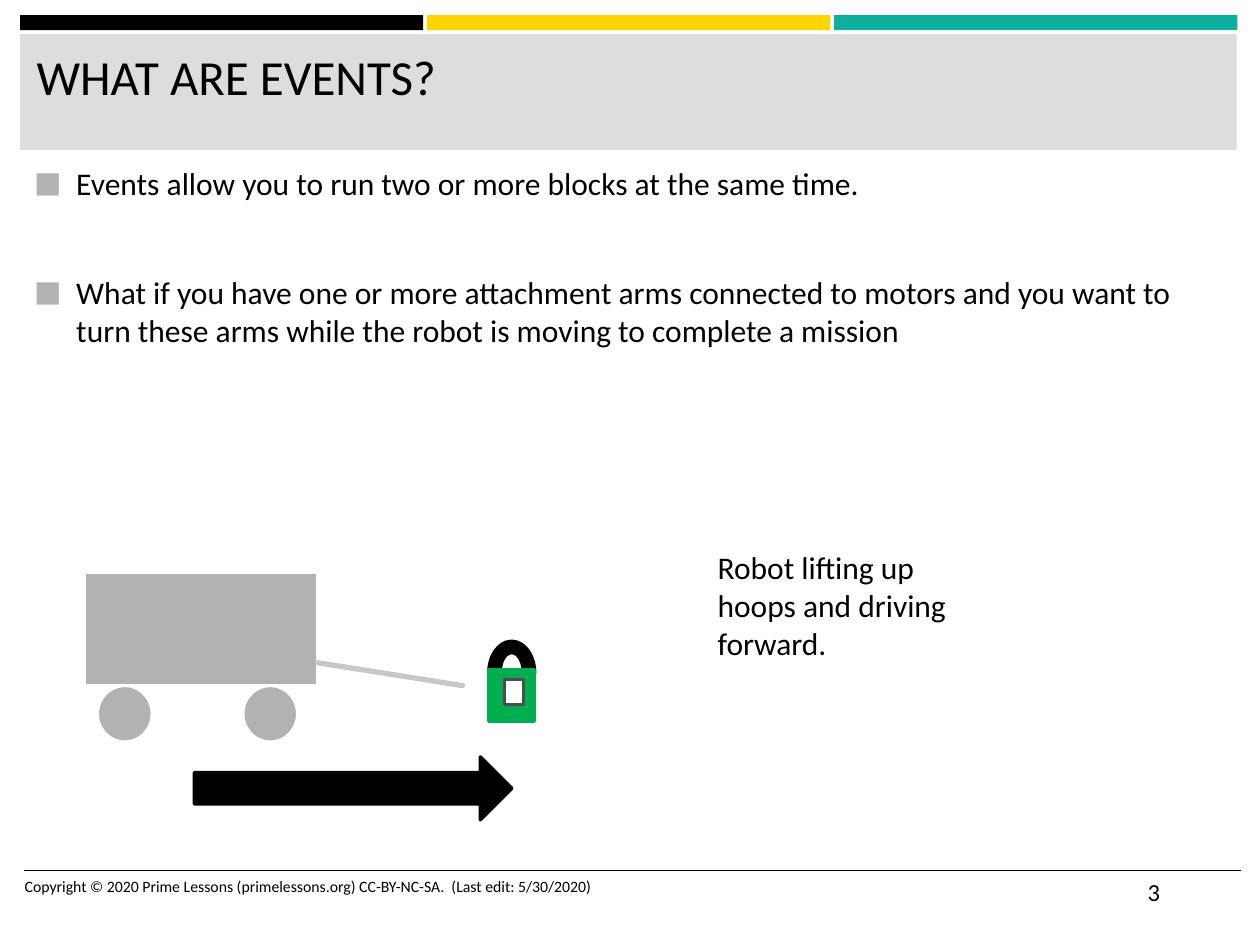
from dataclasses import dataclass

from lxml.etree import SubElement
from pptx import Presentation
from pptx.dml.color import RGBColor
from pptx.enum.shapes import MSO_CONNECTOR, MSO_SHAPE
from pptx.enum.text import MSO_ANCHOR, PP_ALIGN
from pptx.oxml.ns import qn
from pptx.util import Pt

FONT = "Calibri"
BLACK, WHITE, GRAY, GREEN = "000000", "FFFFFF", "B2B2B2", "00B050"


@dataclass
class Box:
    left: float
    top: float
    width: float
    height: float

    def place(self) -> tuple:
        return Pt(self.left), Pt(self.top), Pt(self.width), Pt(self.height)


@dataclass
class Part:
    kind: MSO_SHAPE
    box: Box
    fill: str
    line: str = ""


def color(value: str) -> RGBColor:
    return RGBColor.from_string(value)


def draw(shapes, part: Part) -> None:
    shape = shapes.add_shape(part.kind, *part.box.place())
    shape.shadow.inherit = False
    shape.fill.solid()
    shape.fill.fore_color.rgb = color(part.fill)
    if part.line:
        shape.line.color.rgb = color(part.line)
        shape.line.width = Pt(1.75)
    else:
        shape.line.fill.background()


def group(shapes, parts: list[Part]) -> None:
    inner = shapes.add_group_shape().shapes
    for part in parts:
        draw(inner, part)


def rule(shapes, start: tuple, end: tuple, tint: str, width: float, cap: str = "flat") -> None:
    line = shapes.add_connector(MSO_CONNECTOR.STRAIGHT, *map(Pt, start + end))
    line.line.color.rgb = color(tint)
    line.line.width = Pt(width)
    line.line._get_or_add_ln().set("cap", cap)
    SubElement(line.element.spPr, qn("a:effectLst"))


def style(para, size: float) -> None:
    para.alignment = PP_ALIGN.LEFT
    para.font.name = FONT
    para.font.size = Pt(size)
    para.font.color.rgb = color(BLACK)


def write(shapes, box: Box, text: str, size: float) -> None:
    frame = shapes.add_textbox(*box.place()).text_frame
    frame.word_wrap = True
    frame.text = text
    style(frame.paragraphs[0], size)


def bullet(para) -> None:
    props = para._p.get_or_add_pPr()
    props.set("marL", str(Pt(24)))
    props.set("indent", str(-Pt(24)))
    tint = SubElement(props, qn("a:buClr"))
    SubElement(tint, qn("a:srgbClr"), val=GRAY)
    SubElement(props, qn("a:buSzPct"), val="92000")
    SubElement(props, qn("a:buFont"), typeface=FONT)
    SubElement(props, qn("a:buChar"), char="■")


def points(shapes, box: Box, texts: list[str], gap: float) -> None:
    frame = shapes.add_textbox(*box.place()).text_frame
    frame.word_wrap = True
    for i, text in enumerate(texts):
        para = frame.add_paragraph() if i else frame.paragraphs[0]
        para.text = text
        if i:
            para.space_before = Pt(gap)
        bullet(para)
        style(para, 18)


def head(shapes, text: str) -> None:
    for i, fill in enumerate((BLACK, "FFD500", "0EAE9F")):
        draw(shapes, Part(MSO_SHAPE.RECTANGLE, Box(11.5 + i * 232.6, 8.7, 230.4, 8.6), fill))
    draw(shapes, Part(MSO_SHAPE.RECTANGLE, Box(11.5, 19.5, 695.2, 66.2), "DDDDDD"))
    title = shapes.title
    title.left, title.top, title.width, title.height = Box(13.7, 23, 689, 59).place()
    title.text_frame.text = text
    title.text_frame.vertical_anchor = MSO_ANCHOR.TOP
    style(title.text_frame.paragraphs[0], 28)
    title.element.getparent().append(title.element)


def foot(shapes) -> None:
    rule(shapes, (13.7, 497.4), (709.2, 497.4), BLACK, 1)
    note = "Copyright © 2020 Prime Lessons (primelessons.org) CC-BY-NC-SA.  (Last edit: 5/30/2020)"
    write(shapes, Box(7, 497.4, 384, 29), note, 9)
    write(shapes, Box(648.7, 497.4, 60.5, 29), "3", 14)


def robot(shapes) -> None:
    body = Part(MSO_SHAPE.RECTANGLE, Box(48.3, 327.3, 133.2, 64.3), GRAY, WHITE)
    wheels = [Part(MSO_SHAPE.OVAL, Box(x, 391.8, 31.2, 32.2), GRAY, WHITE) for x in (55.7, 138.8)]
    group(shapes, [body, *wheels])
    rule(shapes, (181.5, 378.7), (264.3, 391.8), "C7C7C7", 3, "rnd")


def hoop(shapes) -> None:
    group(shapes, [
        Part(MSO_SHAPE.BLOCK_ARC, Box(279.2, 366.4, 26.4, 36), BLACK, BLACK),
        Part(MSO_SHAPE.RECTANGLE, Box(279.2, 382.6, 26.4, 30), GREEN, GREEN),
        Part(MSO_SHAPE.RECTANGLE, Box(288.2, 388.2, 11, 14.4), WHITE, "4D4D4D"),
    ])


def main() -> None:
    deck = Presentation()
    deck.slide_width, deck.slide_height = Pt(720), Pt(540)
    shapes = deck.slides.add_slide(deck.slide_layouts[5]).shapes
    head(shapes, "WHAT ARE EVENTS?")
    points(shapes, Box(12.5, 90, 695.5, 400), [
        "Events allow you to run two or more blocks at the same time.",
        "What if you have one or more attachment arms connected to motors "
        "and you want to turn these arms while the robot is moving to complete a mission",
    ], 41)
    foot(shapes)
    write(shapes, Box(403, 309.6, 163.4, 72.7), "Robot lifting up hoops and driving forward.", 18)
    robot(shapes)
    hoop(shapes)
    draw(shapes, Part(MSO_SHAPE.RIGHT_ARROW, Box(111, 432.4, 181.6, 36.2), BLACK, BLACK))
    deck.save("out.pptx")


if __name__ == "__main__":
    main()
